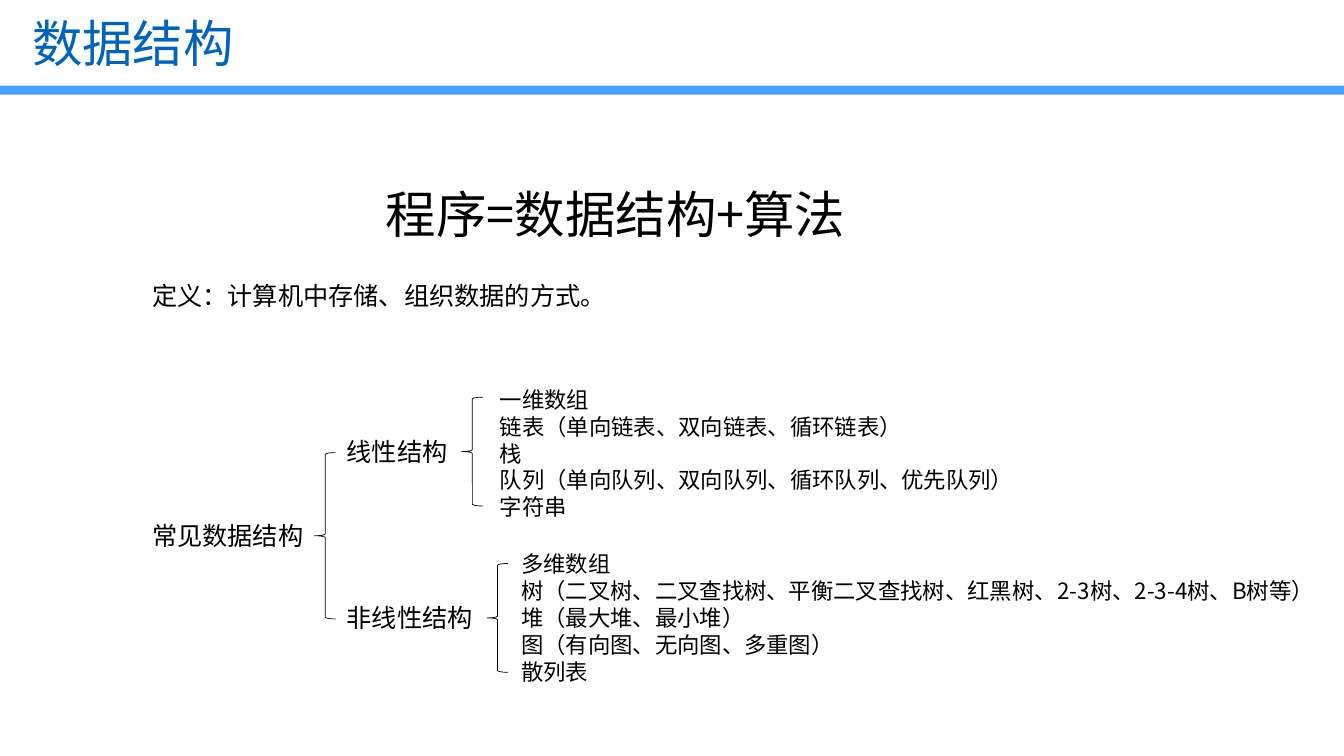
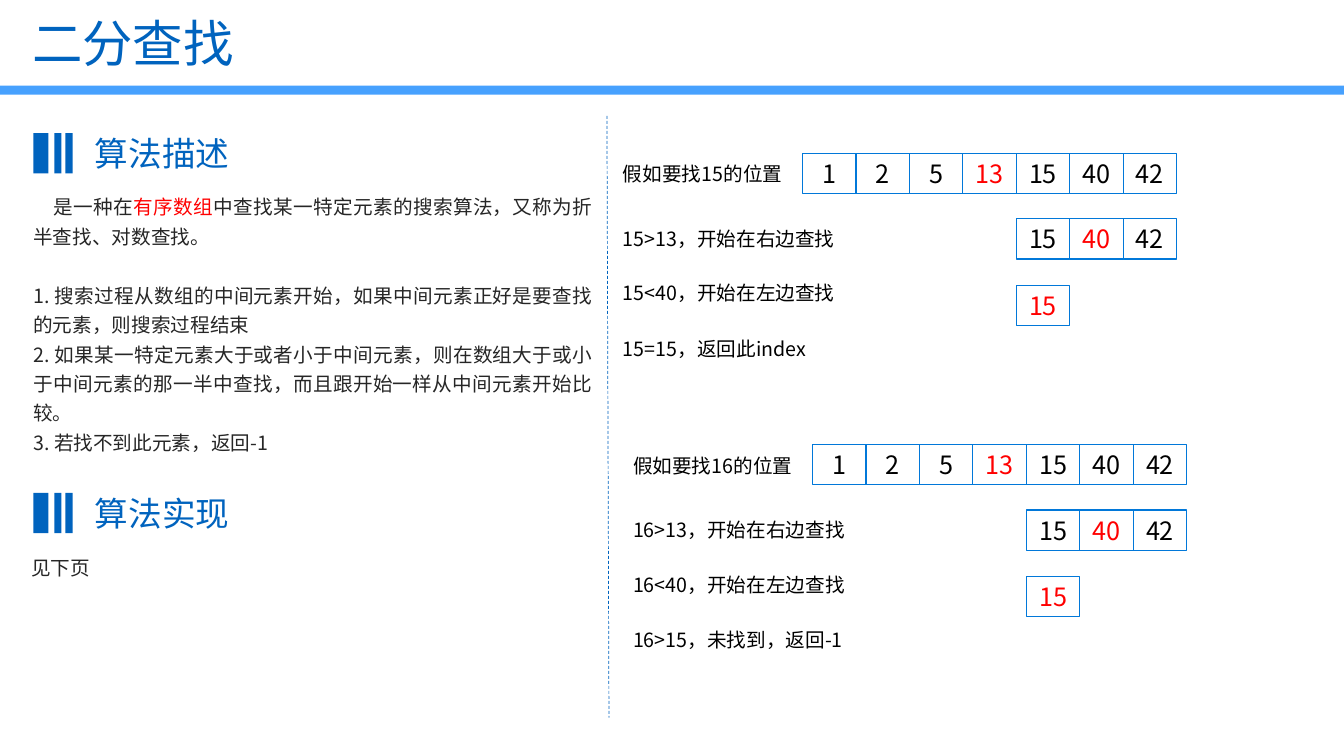
from pptx import Presentation
from pptx import util as u
from pptx.dml.color import RGBColor
from pptx.enum import dml, shapes, text
from pptx.oxml.ns import qn
from lxml import etree

PX = 9144
FONT = "Noto Sans CJK SC"
DARK, BAND, EDGE = "0063BE", "47A1FE", "0178D9"
BLACK, GREY, RED = "000000", "262626", "FF0000"
MID, TOP = text.MSO_ANCHOR.MIDDLE, text.MSO_ANCHOR.TOP
LEFT, CENTER, JUSTIFY = text.PP_ALIGN.LEFT, text.PP_ALIGN.CENTER, text.PP_ALIGN.JUSTIFY
RECT, BRACE = shapes.MSO_SHAPE.RECTANGLE, shapes.MSO_SHAPE.LEFT_BRACE

TREE_LABELS = [
    ((141, 273, 508, 40), "定义：计算机中存储、组织数据的方式。"),
    ((141, 511, 173, 40), "常见数据结构"),
    ((334, 428, 173, 40), "线性结构"),
    ((334, 593, 173, 40), "非线性结构"),
]
TREE_BRACES = [(312, 449, 21, 165), (458, 394, 21, 108), (483, 559, 21, 108)]
TREE_LEAVES = [
    ((486, 378, 746, 145), [
        "一维数组",
        "链表（单向链表、双向链表、循环链表）",
        "栈",
        "队列（单向队列、双向队列、循环队列、优先队列）",
        "字符串",
    ]),
    ((507, 541, 815, 145), [
        "多维数组",
        "树（二叉树、二叉查找树、平衡二叉查找树、红黑树、2-3树、2-3-4树、B树等）",
        "堆（最大堆、最小堆）",
        "图（有向图、无向图、多重图）",
        "散列表",
    ]),
]

HEADINGS = [(132, "算法描述"), (489, "算法实现")]
BARS = [(33, 15), (54, 7), (65, 7)]
INTRO = [("是一种在", GREY), ("有序数组", RED),
         ("中查找某一特定元素的搜索算法，又称为折半查找、对数查找。", GREY)]
STEPS = [
    "1. 搜索过程从数组的中间元素开始，如果中间元素正好是要查找的元素，则搜索过程结束",
    "2. 如果某一特定元素大于或者小于中间元素，则在数组大于或小于中间元素的那一半中查找，而且跟开始一样从中间元素开始比较。",
    "3. 若找不到此元素，返回-1",
]

NUMBERS = [1, 2, 5, 13, 15, 40, 42]
ROUNDS = [(0, 7), (4, 7), (4, 5)]
NOTE_TOPS = [156, 220, 274, 329]
CELL_W, CELL_H = 53, 40
SEARCHES = [
    (0, 0, ["假如要找15的位置", "15>13，开始在右边查找", "15<40，开始在左边查找", "15=15，返回此index"]),
    (10, 289, ["假如要找16的位置", "16>13，开始在右边查找", "16<40，开始在左边查找", "16>15，未找到，返回-1"]),
]


def rgb(color):
    return RGBColor.from_string(color)


def emu(box):
    return [u.Emu(n * PX) for n in box]


def put(obj, **values):
    for name, value in values.items():
        setattr(obj, name, value)


def write(sp, paras, size, color=BLACK, align=LEFT, anchor=TOP, inset=None, leading=1.2, font=FONT):
    tf = sp.text_frame
    put(tf, word_wrap=True, vertical_anchor=anchor)
    if inset is not None:
        put(tf, margin_left=inset, margin_right=inset, margin_top=inset, margin_bottom=inset)
    for i, para in enumerate(paras):
        p = tf.paragraphs[0] if i == 0 else tf.add_paragraph()
        put(p, alignment=align, line_spacing=u.Pt(round(size * leading, 1)))
        for part, tint in [(para, color)] if isinstance(para, str) else para:
            r = p.add_run()
            r.text = part
            put(r.font, size=u.Pt(size), name=font)
            r.font.color.rgb = rgb(tint)
            ea = etree.SubElement(r.font._element, qn("a:ea"))
            ea.set("typeface", font)
    return tf


def label(s, box, paras, size, **style):
    return write(s.shapes.add_textbox(*emu(box)), paras, size, **style)


def shape(parent, kind, box, fill=None, line=None, width=0.75):
    sp = parent.add_shape(kind, *emu(box))
    sp.shadow.inherit = False
    if fill:
        sp.fill.solid()
        sp.fill.fore_color.rgb = rgb(fill)
    else:
        sp.fill.background()
    if line:
        sp.line.color.rgb = rgb(line)
        sp.line.width = u.Pt(width)
    else:
        sp.line.fill.background()
    return sp


def new_slide(prs, title):
    s = prs.slides.add_slide(prs.slide_layouts[6])
    shape(s.shapes, RECT, (0, 85, 1333, 9), fill=BAND)
    label(s, (22, 10, 1218, 64), [title], 36, color=DARK, anchor=MID)
    return s


def heading(s, y, title):
    bars = s.shapes.add_group_shape().shapes
    for x, w in BARS:
        shape(bars, RECT, (x, y, w, 40), fill=DARK)
    label(s, (94, y, 161, 40), [title], 24, color=DARK, align=JUSTIFY, inset=0)


def cells(s, dx, y, first, last):
    row = s.shapes.add_group_shape().shapes
    for i in range(first, last):
        sp = shape(row, RECT, (796 + dx + i * CELL_W, y, CELL_W, CELL_H), line=EDGE)
        middle = (first + last - 1) // 2
        write(sp, [str(NUMBERS[i])], 18, color=RED if i == middle else BLACK,
              align=CENTER, anchor=MID)


def structures(prs):
    s = new_slide(prs, "数据结构")
    label(s, (373, 177, 547, 71), ["程序=数据结构+算法"], 36, font="Noto Sans CJK JP")
    for box, name in TREE_LABELS:
        label(s, box, [name], 18)
    for box in TREE_BRACES:
        shape(s.shapes, BRACE, box, line=BLACK, width=0.5)
    for box, leaves in TREE_LEAVES:
        label(s, box, leaves, 16)


def binary_search(prs):
    s = new_slide(prs, "二分查找")
    for y, title in HEADINGS:
        heading(s, y, title)
    body = dict(color=GREY, align=JUSTIFY, inset=0, leading=1.5)
    tf = label(s, (33, 188, 555, 265), [INTRO, *STEPS], 14, **body)
    tf.paragraphs[0]._p.get_or_add_pPr().set("indent", str(20 * PX))
    tf.paragraphs[1].space_before = u.Pt(21)
    label(s, (31, 546, 555, 25), ["见下页"], 14, **body)

    divider = s.shapes.add_connector(shapes.MSO_CONNECTOR.STRAIGHT, *emu((602, 115, 604, 712)))
    divider.line.color.rgb = rgb(DARK)
    put(divider.line, width=u.Pt(0.5), dash_style=dml.MSO_LINE.DASH)
    etree.SubElement(divider._element.spPr, qn("a:effectLst"))

    for dx, dy, notes in SEARCHES:
        for i, (first, last) in enumerate(ROUNDS):
            cells(s, dx, 152 + dy + i * 131 // 2, first, last)
        for i, (y, note) in enumerate(zip(NOTE_TOPS, notes)):
            label(s, (608 + dx, y + dy, 231 if i else 188, 34), [note], 14)


def main():
    prs = Presentation()
    put(prs, slide_width=u.Emu(1333 * PX), slide_height=u.Emu(750 * PX))
    structures(prs)
    binary_search(prs)
    prs.save("out.pptx")


if __name__ == "__main__":
    main()
